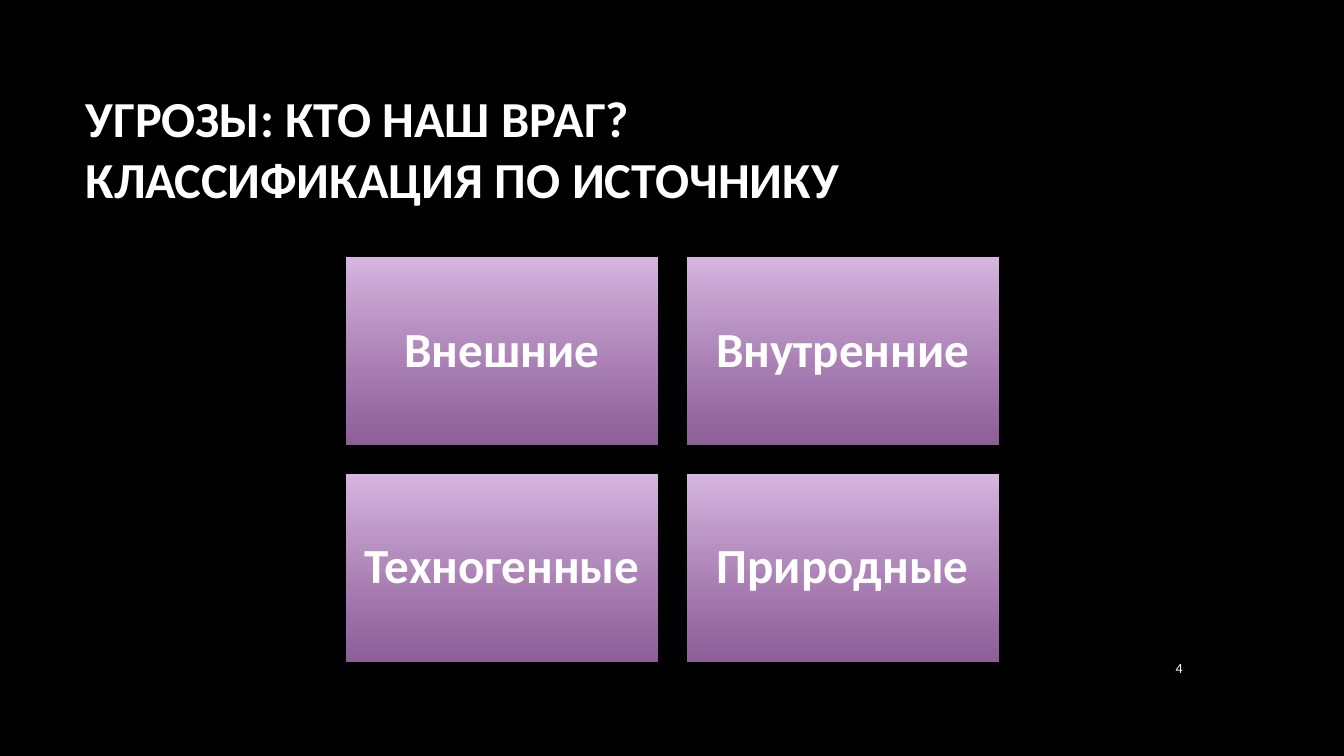
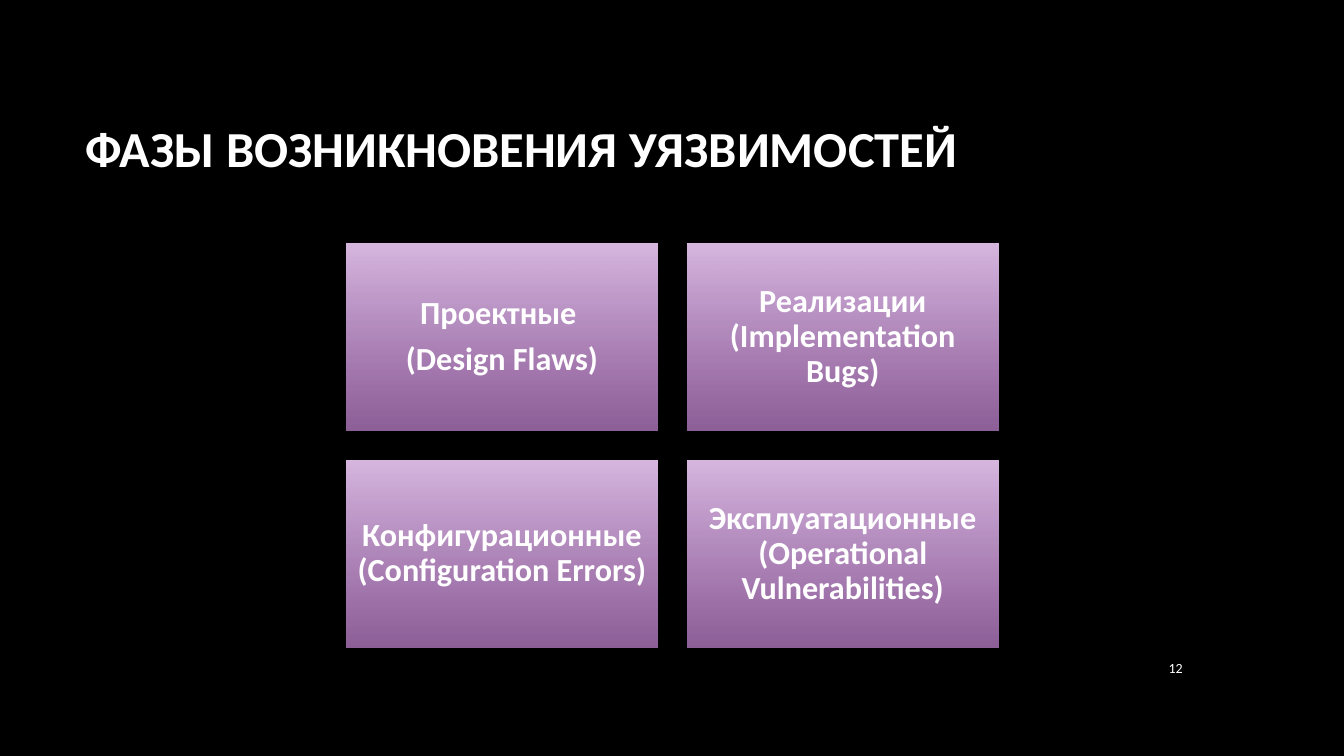
from lxml.etree import SubElement
from pptx import Presentation
from pptx.dml.color import RGBColor
from pptx.enum.shapes import MSO_SHAPE as SHAPE
from pptx.enum.text import MSO_ANCHOR as ANCHOR, MSO_AUTO_SIZE as AUTO, PP_ALIGN as ALIGN
from pptx.oxml.ns import qn
from pptx.util import Inches, Pt

BLACK = RGBColor(0x00, 0x00, 0x00)
WHITE = RGBColor(0xFF, 0xFF, 0xFF)
LILAC = RGBColor(0xD8, 0xB7, 0xE1)
PURPLE = RGBColor(0xBF, 0x82, 0xCE)
PURPLE_ALPHA = 74
FONT = "Calibri"
TITLE_SIZE = 36

CARD_W, CARD_H, GAP = 3.08, 1.85, 0.3
CARDS_LEFT = 3.44

SLIDES = [
    ("УГРОЗЫ: КТО НАШ ВРАГ? \vКЛАССИФИКАЦИЯ ПО ИСТОЧНИКУ", 4, 2.56, 35, 0.15,
     ["Внешние", "Внутренние", "Техногенные", "Природные"]),
    ("ФАЗЫ ВОЗНИКНОВЕНИЯ УЯЗВИМОСТЕЙ", 12, 2.42, 23, 0.1,
     ["Проектные \n(Design Flaws)",
      "Реализации (Implementation Bugs)",
      "Конфигурационные (Configuration Errors)",
      "Эксплуатационные (Operational Vulnerabilities)"]),
]


def write(tf, text, size, bold=False, align=ALIGN.LEFT, spacing=None, after=0, inset=None,
          fit=AUTO.NONE):
    tf.word_wrap = True
    tf.auto_size = fit
    tf.vertical_anchor = ANCHOR.MIDDLE
    if inset is not None:
        tf.margin_left = tf.margin_right = tf.margin_top = tf.margin_bottom = Inches(inset)
    for i, line in enumerate(text.split("\n")):
        p = tf.add_paragraph() if i else tf.paragraphs[0]
        p.text = line
        p.alignment = align
        p.line_spacing = spacing
        p.space_after = Pt(after)
        for r in p.runs:
            r.font.name = FONT
            r.font.size = Pt(size)
            r.font.bold = bold
            r.font.color.rgb = WHITE


prs = Presentation()
prs.slide_width, prs.slide_height = Inches(13.33), Inches(7.5)

master = prs.slide_master
master.background.fill.solid()
master.background.fill.fore_color.rgb = BLACK
title_font = master.element.find(f".//{qn('p:titleStyle')}/{qn('a:lvl1pPr')}/{qn('a:defRPr')}")
title_font.set("sz", str(TITLE_SIZE * 100))

layout = prs.slide_layouts.get_by_name("Title Only")
title = layout.placeholders[0]
title.left, title.top = Inches(0.75), Inches(0.67)
title.width, title.height = Inches(11.08), Inches(1.59)

for heading, number, cards_top, size, inset, cards in SLIDES:
    s = prs.slides.add_slide(layout)
    write(s.shapes.title.text_frame, heading, TITLE_SIZE, bold=True,
          fit=AUTO.TEXT_TO_FIT_SHAPE)

    for i, label in enumerate(cards):
        row, col = divmod(i, 2)
        sp = s.shapes.add_shape(
            SHAPE.RECTANGLE,
            Inches(CARDS_LEFT + col * (CARD_W + GAP)),
            Inches(cards_top + row * (CARD_H + GAP)),
            Inches(CARD_W), Inches(CARD_H))
        sp.shadow.inherit = False
        sp.line.fill.background()
        sp.fill.gradient()
        sp.fill.gradient_angle = 270
        for stop, color, position in zip(sp.fill.gradient_stops, (LILAC, PURPLE), (0, 1)):
            stop.color.rgb = color
            stop.position = position
        last_color = sp.element.findall(f".//{qn('a:gs')}/{qn('a:srgbClr')}")[-1]
        SubElement(last_color, qn("a:alpha")).set("val", str(PURPLE_ALPHA * 1000))
        write(sp.text_frame, label, size, bold=True, align=ALIGN.CENTER,
              spacing=0.9, after=round(size * 0.35), inset=inset)

    box = s.shapes.add_textbox(Inches(11.23), Inches(6.42), Inches(0.6), Inches(0.41))
    write(box.text_frame, str(number), 10, align=ALIGN.RIGHT)

prs.save("out.pptx")
